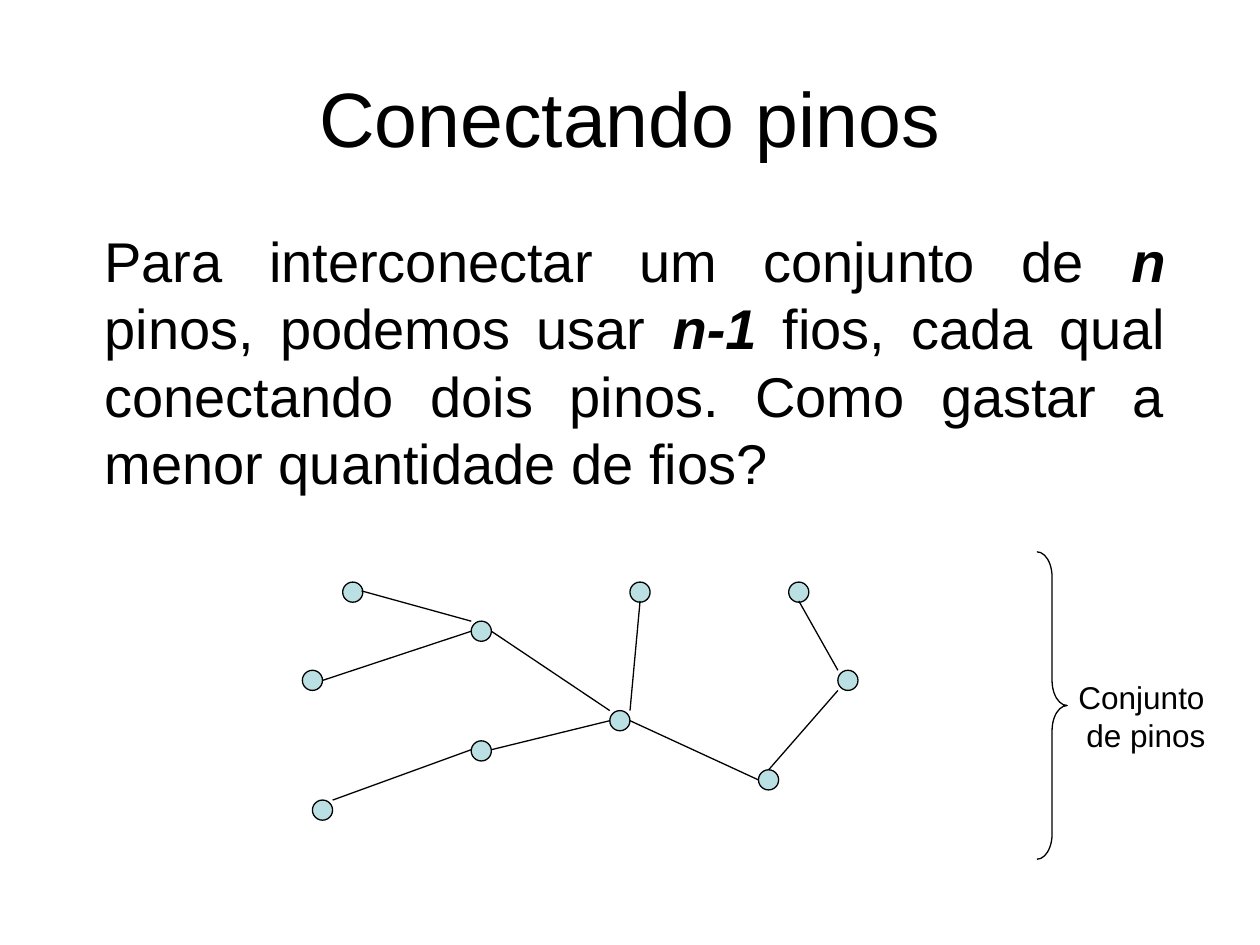
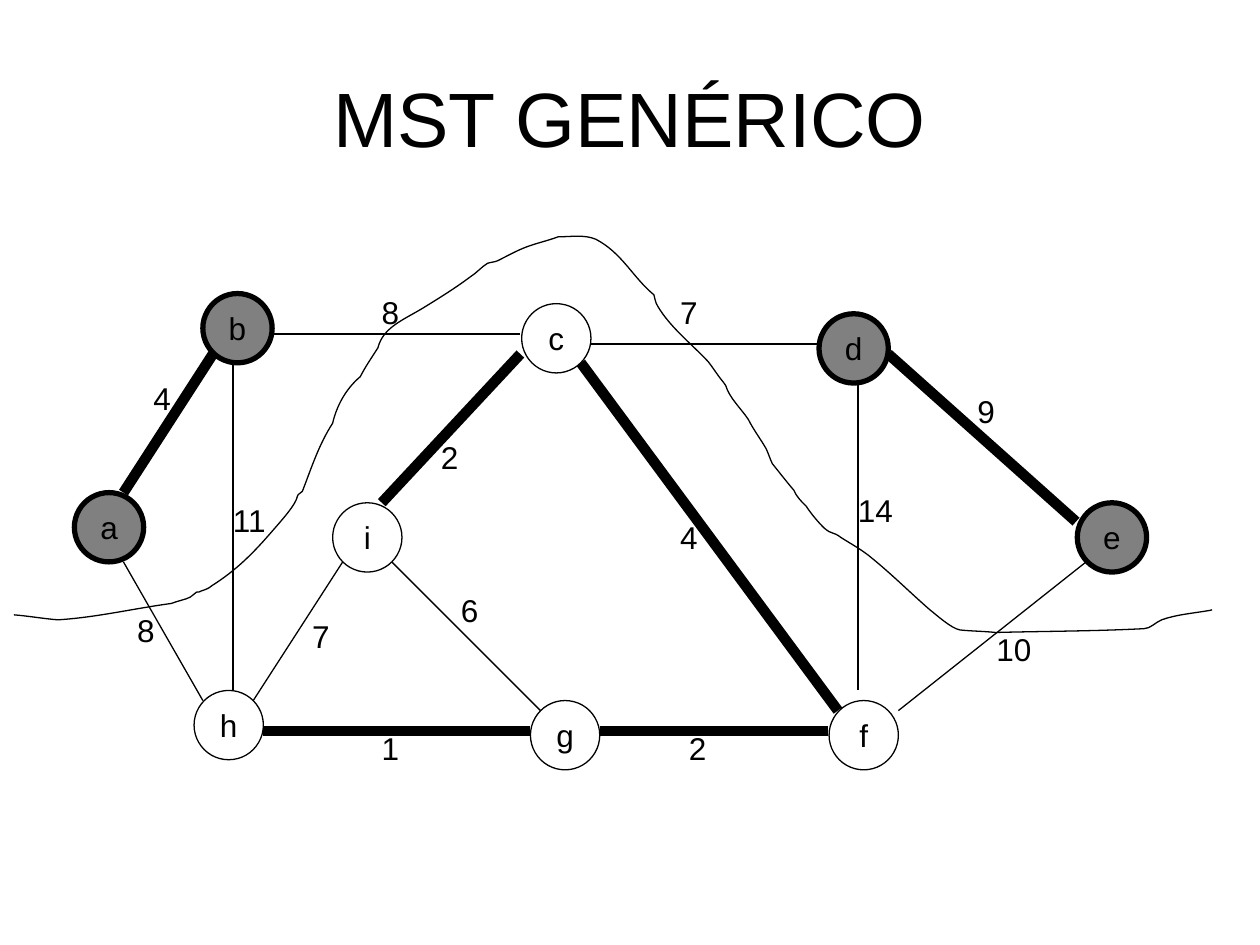
from pptx import Presentation
from pptx.dml.color import RGBColor
from pptx.enum.shapes import MSO_CONNECTOR, MSO_SHAPE
from pptx.enum.text import MSO_ANCHOR, MSO_AUTO_SIZE, PP_ALIGN
from pptx.oxml.ns import qn
from pptx.util import Inches, Pt
from lxml import etree

OVAL, BRACE = MSO_SHAPE.OVAL, MSO_SHAPE.RIGHT_BRACE
STRAIGHT = MSO_CONNECTOR.STRAIGHT
LEFT, CENTER, JUSTIFY = PP_ALIGN.LEFT, PP_ALIGN.CENTER, PP_ALIGN.JUSTIFY
TOP, MIDDLE = MSO_ANCHOR.TOP, MSO_ANCHOR.MIDDLE
GROW = MSO_AUTO_SIZE.SHAPE_TO_FIT_TEXT

FONT, BLACK, PIN_BLUE, CUT_GRAY = "Arial", "000000", "BBE0E3", "808080"
THIN, RING, THICK = 0.75, 3, 6
PIN, NODE = 0.16, 0.55

# Slide 1: runs are (text, emphasised)
QUESTION = [
    ("Para interconectar um conjunto de ", False), ("n", True),
    (" pinos, podemos usar ", False), ("n-1", True),
    (" fios, cada qual conectando dois pinos. Como gastar a menor "
     "quantidade de fios?", False),
]
BRACE_LABEL = ["Conjunto ", "de pinos"]
PINS = [(2.72, 4.62), (2.4, 5.32), (3.74, 4.93), (3.74, 5.88), (5, 4.62),
        (4.84, 5.64), (6.02, 6.11), (6.26, 4.62), (6.65, 5.32), (2.48, 6.35)]
WIRES = [
    (2.64, 6.35, 3.74, 5.95), (2.56, 5.4, 3.74, 5.01), (2.87, 4.69, 3.74, 4.93),
    (3.9, 5.95, 4.84, 5.72), (3.9, 5.01, 4.84, 5.64), (5.08, 4.77, 5, 5.64),
    (5, 5.72, 6.02, 6.19), (6.1, 6.11, 6.65, 5.48), (6.34, 4.77, 6.65, 5.32),
]

# Slide 2: graph nodes, left and top
NODES = {"a": (0.59, 3.91), "b": (1.61, 2.33), "h": (1.54, 5.48),
         "i": (2.64, 3.99), "c": (4.14, 2.41), "g": (4.21, 5.56),
         "d": (6.5, 2.49), "f": (6.58, 5.56), "e": (8.55, 3.99)}
CUT_SIDE = "abde"
# Edges: (x1, y1, x2, y2), line width, weight, weight's left and top
EDGES = [
    ((0.98, 3.91, 1.69, 2.81), THICK, "4", (1.12, 2.96)),
    ((0.98, 4.46, 1.61, 5.56), THIN, "8", (0.99, 4.8)),
    ((1.85, 2.88, 1.85, 5.48), THIN, "11", (1.75, 3.93)),
    ((2.16, 2.65, 4.13, 2.65), THIN, "8", (2.93, 2.28)),
    ((4.61, 2.88, 6.65, 5.64), THICK, "4", (5.3, 4.06)),
    ((4.69, 2.73, 6.5, 2.73), THIN, "7", (5.3, 2.28)),
    ((3.03, 3.99, 4.13, 2.81), THICK, "2", (3.4, 3.43)),
    ((2.01, 5.56, 2.72, 4.46), THIN, "7", (2.38, 4.85)),
    ((2.09, 5.8, 4.21, 5.8), THICK, "1", (2.93, 5.74)),
    ((3.11, 4.46, 4.29, 5.64), THIN, "6", (3.56, 4.64)),
    ((4.76, 5.8, 6.57, 5.8), THICK, "2", (5.37, 5.74)),
    ((6.81, 3.04, 6.81, 5.48), THIN, "14", (6.71, 3.85)),
    ((7.13, 5.64, 8.62, 4.46), THIN, "10", (7.81, 4.95)),
    ((7.05, 2.81, 8.54, 4.14), THICK, "9", (7.66, 3.06)),
]
# Cut line: start, then cubic segments (two controls and an end)
CUT_START = (0.11, 4.88)
CUT_CURVES = [
    (0.23, 4.89, 0.34, 4.91, 0.46, 4.92), (0.77, 4.9, 1.06, 4.83, 1.36, 4.79),
    (1.41, 4.77, 1.47, 4.76, 1.51, 4.74), (1.53, 4.73, 1.54, 4.71, 1.56, 4.7),
    (1.57, 4.7, 1.59, 4.7, 1.6, 4.69), (1.63, 4.68, 1.66, 4.67, 1.68, 4.65),
    (1.87, 4.53, 2, 4.4, 2.14, 4.24), (2.2, 4.17, 2.32, 4.04, 2.35, 3.97),
    (2.37, 3.92, 2.35, 3.94, 2.4, 3.9), (2.47, 3.72, 2.53, 3.53, 2.64, 3.36),
    (2.67, 3.23, 2.74, 3.09, 2.86, 2.99), (2.9, 2.91, 2.95, 2.84, 3, 2.76),
    (3.04, 2.6, 3.2, 2.54, 3.35, 2.45), (3.48, 2.37, 3.61, 2.29, 3.73, 2.2),
    (3.78, 2.17, 3.82, 2.12, 3.87, 2.09), (3.9, 2.08, 3.93, 2.08, 3.95, 2.07),
    (4.03, 2.03, 4.1, 1.99, 4.18, 1.96), (4.26, 1.93, 4.35, 1.91, 4.43, 1.88),
    (4.53, 1.88, 4.64, 1.86, 4.73, 1.9), (4.94, 2.01, 5.02, 2.2, 5.19, 2.34),
    (5.2, 2.37, 5.2, 2.4, 5.22, 2.43), (5.32, 2.6, 5.49, 2.73, 5.62, 2.87),
    (5.66, 2.92, 5.69, 2.97, 5.73, 3.02), (5.74, 3.03, 5.76, 3.06, 5.76, 3.06),
    (5.79, 3.16, 5.88, 3.24, 5.94, 3.33), (5.98, 3.41, 6.04, 3.49, 6.08, 3.56),
    (6.1, 3.6, 6.11, 3.64, 6.13, 3.68), (6.13, 3.68, 6.28, 3.87, 6.3, 3.89),
    (6.32, 3.94, 6.36, 3.98, 6.4, 4.02), (6.44, 4.08, 6.49, 4.14, 6.54, 4.19),
    (6.61, 4.25, 6.6, 4.21, 6.68, 4.27), (6.76, 4.32, 6.85, 4.37, 6.92, 4.43),
    (7.08, 4.56, 7.22, 4.7, 7.38, 4.84), (7.42, 4.87, 7.55, 4.99, 7.62, 5),
    (7.71, 5.01, 7.81, 5.01, 7.9, 5.02), (8.3, 5.01, 8.69, 5.01, 9.08, 4.99),
    (9.13, 4.99, 9.17, 4.94, 9.22, 4.92), (9.33, 4.88, 9.45, 4.87, 9.57, 4.85),
    (9.59, 4.85, 9.62, 4.84, 9.62, 4.84),
]


def rgb(color):
    return RGBColor.from_string(color)


def write(tf, paragraphs, size=18, align=CENTER, **frame):
    """Fill a text frame with paragraphs of (text, emphasised) runs."""
    for name, value in frame.items():
        setattr(tf, name, value)
    for n, runs in enumerate(paragraphs):
        p = tf.add_paragraph() if n else tf.paragraphs[0]
        p.alignment = align
        for text, strong in runs:
            r = p.add_run()
            r.text = text
            style = {"name": FONT, "size": Pt(size), "bold": strong, "italic": strong}
            for name, value in style.items():
                setattr(r.font, name, value)
            r.font.color.rgb = rgb(BLACK)


def add_text(s, box, paragraphs, **options):
    sp = s.shapes.add_textbox(*map(Inches, box))
    write(sp.text_frame, paragraphs, **options)


def outline(sp, width=THIN, fill=None):
    sp.line.color.rgb = rgb(BLACK)
    sp.line.width = Pt(width)
    sp.shadow.inherit = False
    if fill:
        sp.fill.solid()
        sp.fill.fore_color.rgb = rgb(fill)
    else:
        sp.fill.background()


def add_shape(s, kind, box, **options):
    sp = s.shapes.add_shape(kind, *map(Inches, box))
    outline(sp, **options)
    return sp


def add_line(s, ends, width=THIN):
    line = s.shapes.add_connector(STRAIGHT, *map(Inches, ends))
    line.line.color.rgb = rgb(BLACK)
    line.line.width = Pt(width)
    etree.SubElement(line._element.spPr, qn("a:effectLst"))


def add_curve(s, start, curves):
    """Draw a freeform through the curve ends, then bend its segments."""
    fb = s.shapes.build_freeform(*map(Inches, start))
    fb.add_line_segments([tuple(map(Inches, c[4:])) for c in curves], close=False)
    sp = fb.convert_to_shape()
    for segment, curve in zip(list(sp._element.iter(qn("a:lnTo"))), curves):
        bend = etree.Element(qn("a:cubicBezTo"))
        for x, y in zip(curve[::2], curve[1::2]):
            etree.SubElement(bend, qn("a:pt"), x=str(Inches(x) - sp.left),
                             y=str(Inches(y) - sp.top))
        segment.getparent().replace(segment, bend)
    outline(sp)


def add_titled_slide(prs, title):
    s = prs.slides.add_slide(prs.slide_layouts[6])
    add_text(s, (0.5, 0.3, 9, 1.25), [[(title, False)]], size=44,
             word_wrap=True, vertical_anchor=MIDDLE)
    return s


def build_pins(prs):
    s = add_titled_slide(prs, "Conectando pinos")
    add_text(s, (0.35, 1.75, 9, 4.95), [QUESTION], size=32, align=JUSTIFY,
             word_wrap=True, vertical_anchor=TOP, margin_left=Inches(0.48))
    for x, y in PINS:
        add_shape(s, OVAL, (x, y, PIN, PIN), fill=PIN_BLUE)
    brace = add_shape(s, BRACE, (8.23, 4.38, 0.24, 2.44))
    brace.adjustments[0] = 0.83
    add_text(s, (8.46, 5.33, 1.27, 0.7), [[(line, False)] for line in BRACE_LABEL],
             word_wrap=False, auto_size=GROW)
    for ends in WIRES:
        add_line(s, ends)


def build_graph(prs):
    s = add_titled_slide(prs, "MST GENÉRICO")
    for name, (x, y) in NODES.items():
        look = {"fill": CUT_GRAY, "width": RING} if name in CUT_SIDE else {}
        sp = add_shape(s, OVAL, (x, y, NODE, NODE), **look)
        write(sp.text_frame, [[(name, False)]], word_wrap=False, vertical_anchor=MIDDLE)

    # Edges, then their weights on top
    for ends, width, _, _ in EDGES:
        add_line(s, ends, width)
    for _, _, weight, (x, y) in EDGES:
        add_text(s, (x, y, 0.2 + 0.14 * len(weight), 0.4), [[(weight, False)]],
                 align=LEFT, word_wrap=False, auto_size=GROW)
    add_curve(s, CUT_START, CUT_CURVES)


def main():
    prs = Presentation()
    prs.slide_width, prs.slide_height = Inches(10), Inches(7.5)
    build_pins(prs)
    build_graph(prs)
    prs.save("out.pptx")


if __name__ == "__main__":
    main()
